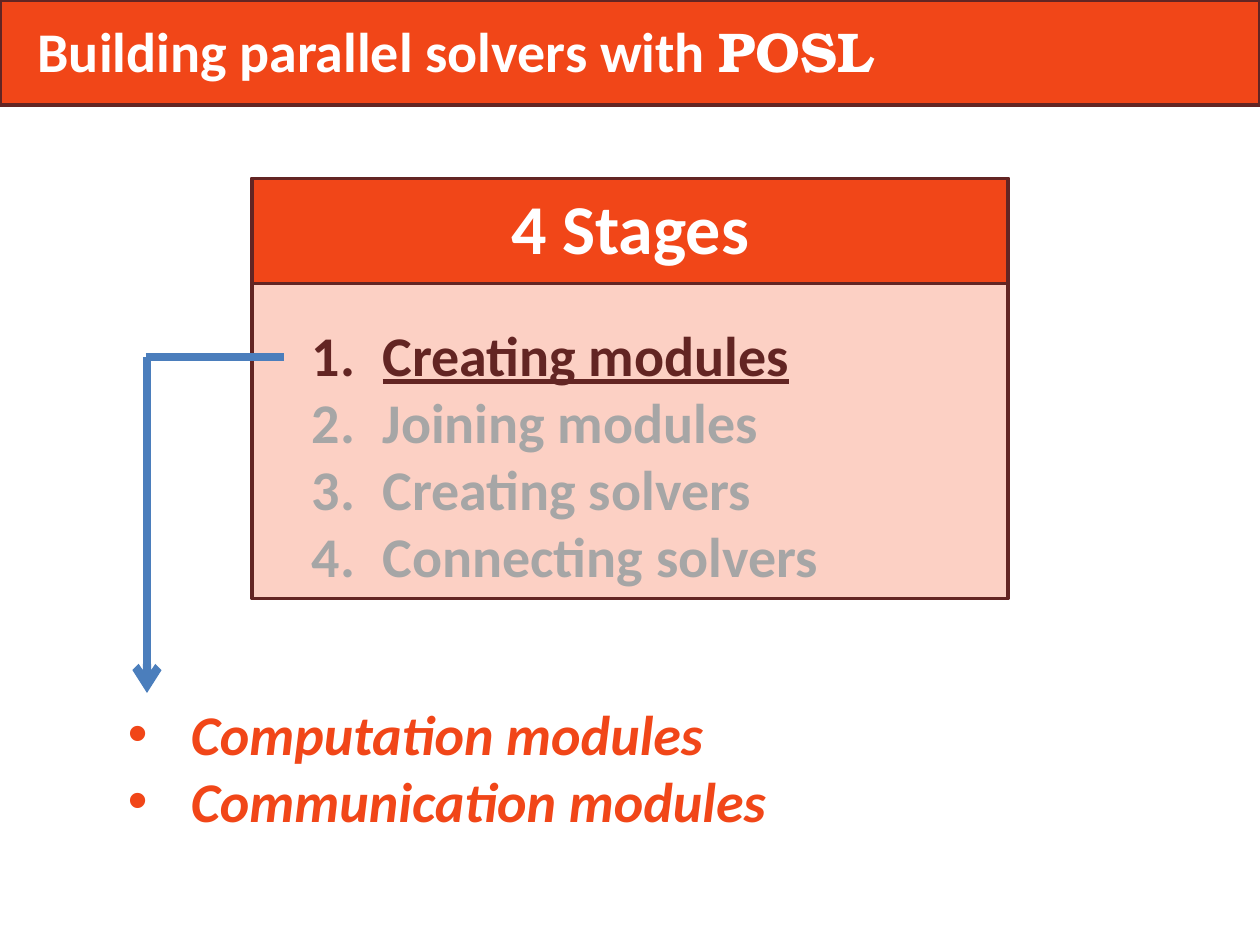
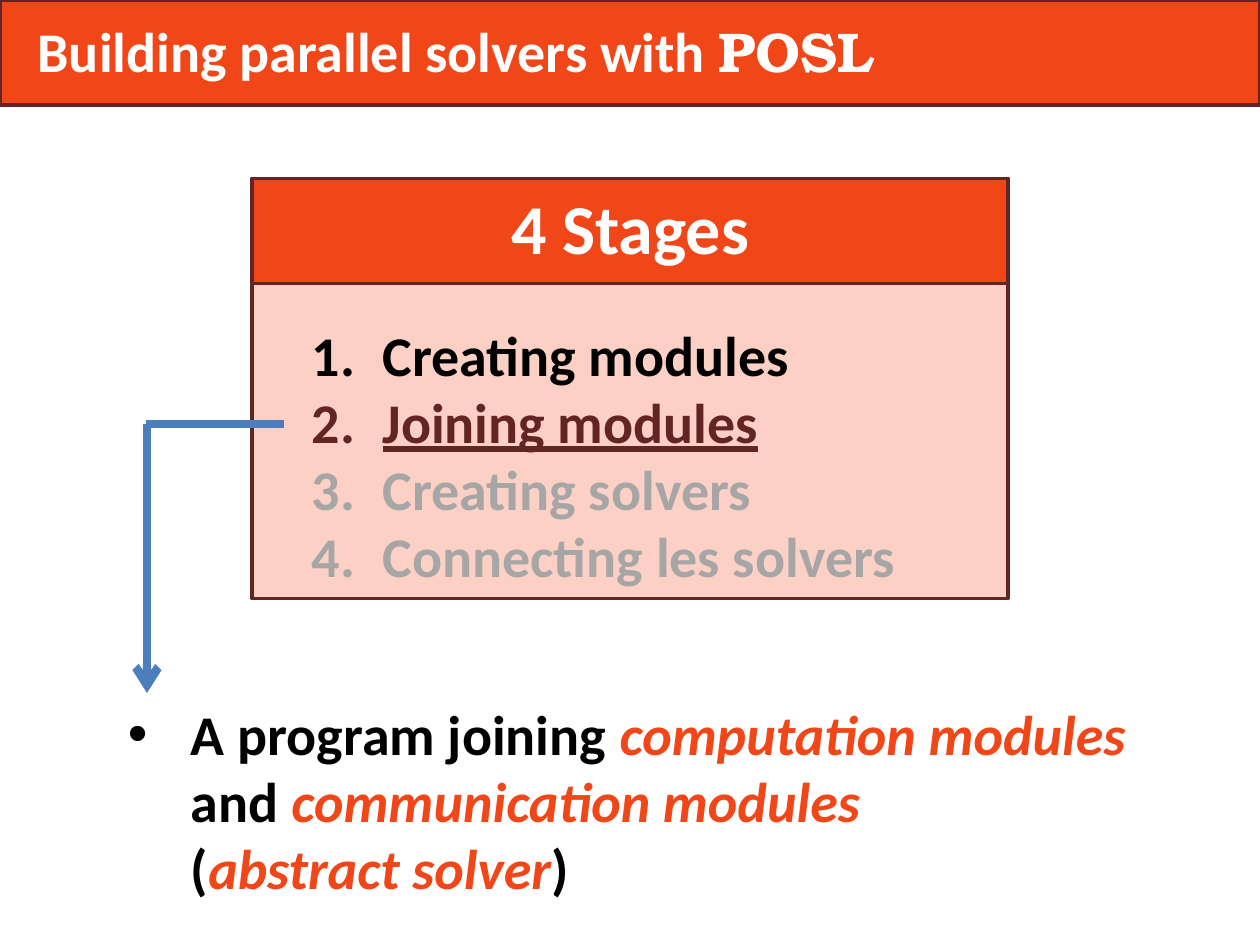
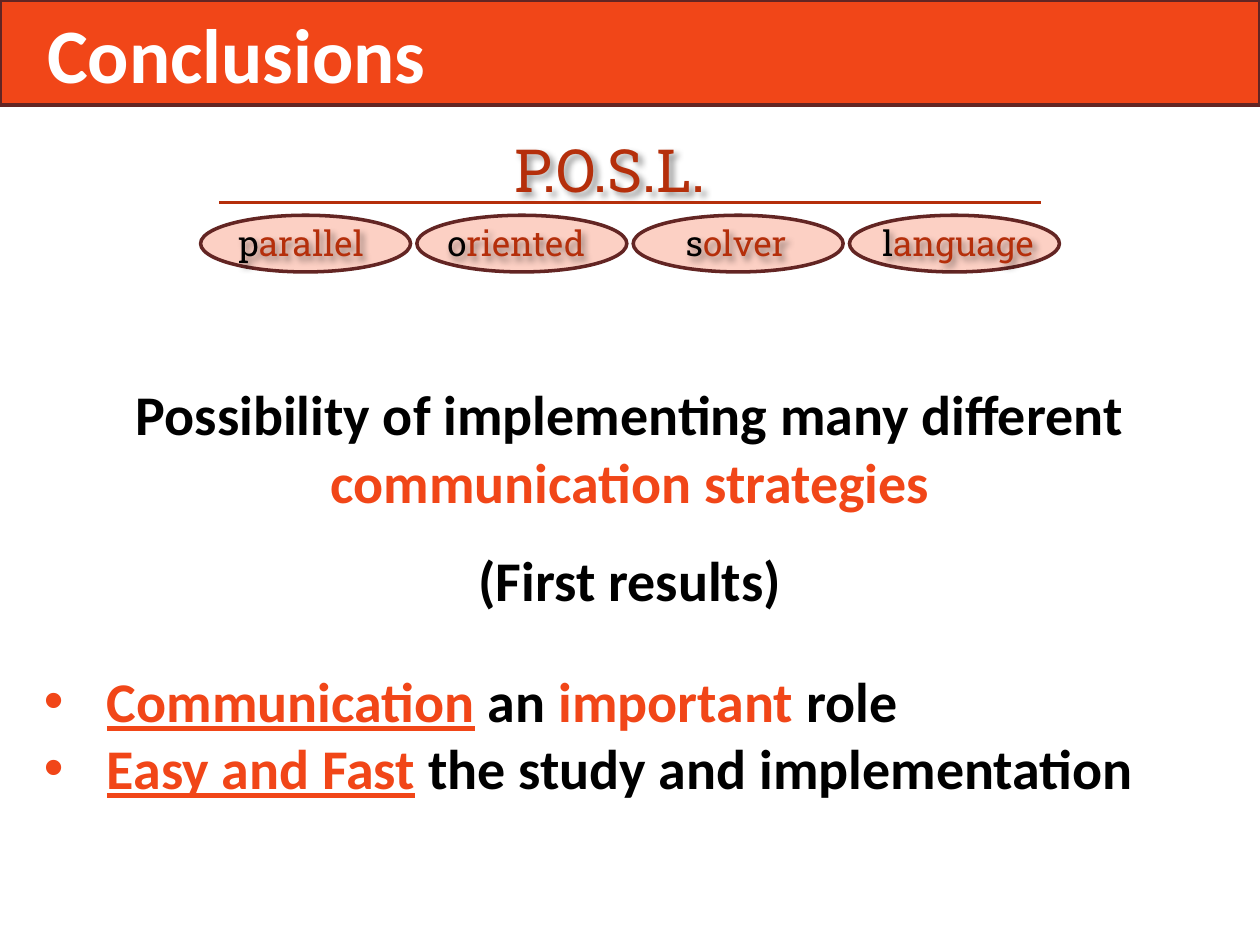
import dataclasses

import lxml.etree
import pptx
import pptx.dml.color
import pptx.enum.shapes
import pptx.enum.text
import pptx.oxml.ns
import pptx.util


@dataclasses.dataclass(frozen=True)
class Theme:
    main: str = "F14618"
    dark: str = "632523"
    pale: str = "FCD0C4"
    rust: str = "B52F0B"
    blue: str = "4B7EBC"
    gray: str = "A6A6A6"
    black: str = "000000"
    white: str = "FFFFFF"
    font: str = "Calibri"
    slab: str = "Roboto Slab"
    serif: str = "TeX Gyre Bonum"
    body: int = 32
    stage: int = 40
    close: int = 44
    name: int = 34
    word: int = 20
    edge: float = 2
    arm: float = 4.75
    rule: float = 1.75


theme = Theme()
rgb = pptx.dml.color.RGBColor.from_string
qn = pptx.oxml.ns.qn
kinds = pptx.enum.shapes.MSO_SHAPE
mid = pptx.enum.text.PP_ALIGN.CENTER

deck = pptx.Presentation()
deck.slide_width = pptx.util.Inches(10)
deck.slide_height = pptx.util.Inches(7.5)
# The grid has 120 columns and 90 rows of square cells.
cell = deck.slide_width / 120


def block(slide, kind, box, fill):
    """Add an outlined shape; box is left, top, width, height in cells."""
    shape = slide.shapes.add_shape(kind, *[round(n * cell) for n in box])
    shape.shadow.inherit = False
    shape.fill.solid()
    shape.fill.fore_color.rgb = rgb(fill)
    shape.line.color.rgb = rgb(theme.dark)
    shape.line.width = pptx.util.Pt(theme.edge)


def write(slide, box, paras, size=theme.body, align=None, mark=None, slab=False):
    """Add text from paragraphs of (words, colour, style letters) runs.

    mark is a bullet tag, its attributes and its indent in cells;
    slab gives unpadded slab type with a soft shadow.
    """
    area = slide.shapes.add_textbox(*[round(n * cell) for n in box])
    frame = area.text_frame
    frame.word_wrap = True
    if slab:
        frame.margin_left = frame.margin_right = 0
        frame.margin_top = frame.margin_bottom = 0
        glow = lxml.etree.SubElement(area.element.spPr, qn("a:effectLst"))
        cast = lxml.etree.SubElement(glow, qn("a:outerShdw"), blurRad="50800",
                                     dist="38100", dir="2700000", algn="tl")
        tint = lxml.etree.SubElement(cast, qn("a:srgbClr"), val=theme.black)
        lxml.etree.SubElement(tint, qn("a:alpha"), val="40000")
    for row, runs in enumerate(paras):
        para = frame.add_paragraph() if row else frame.paragraphs[0]
        para.alignment = align
        if mark:
            tag, attrs, dent = mark
            props = para._p.get_or_add_pPr()
            props.set("marL", str(round(dent * cell)))
            props.set("indent", str(-round(dent * cell)))
            lxml.etree.SubElement(props, qn("a:buFont"),
                                  typeface="Arial" if tag == "a:buChar" else "+mj-lt")
            lxml.etree.SubElement(props, qn(tag), attrs)
        para.font.size = pptx.util.Pt(size)
        for words, tone, style in runs:
            if words == "\n":
                para.add_line_break()
                continue
            run = para.add_run()
            run.text = words
            font = run.font
            font.size = pptx.util.Pt(size)
            font.name = theme.slab if slab else theme.serif if "s" in style else theme.font
            font.color.rgb = rgb(tone)
            font.bold = not slab
            font.italic = "i" in style
            font.underline = "u" in style


dot = ("a:buChar", {"char": "•"}, 6)
count = ("a:buAutoNum", {"type": "arabicPeriod"}, 6.75)
lines = []

# Title bands
build = [("Building parallel solvers with ", theme.white, ""), ("POSL", theme.white, "s")]
close = [("Conclusions", theme.white, "")]
heads = [(build, theme.body, (2.4, 1, 117, 8)),
         (build, theme.body, (2.4, 1, 117, 8)),
         (close, theme.close, (3.3, 0, 90, 10))]
slides = []
for runs, size, box in heads:
    slide = deck.slides.add_slide(deck.slide_layouts[6])
    block(slide, kinds.RECTANGLE, (0, 0, 120, 10), theme.main)
    write(slide, box, [runs], size)
    slides.append(slide)

# Stage slides: the current stage points to its details
steps = ["Creating modules", "Joining modules", "Creating solvers"]
parts = [[("Computation modules", theme.main, "i")],
         [("Communication modules", theme.main, "i")]]
joined = [[("A program joining ", theme.black, ""),
           ("computation modules", theme.main, "i"),
           (" and ", theme.black, ""),
           ("communication modules ", theme.main, "i"),
           ("\n", theme.main, ""),
           ("(", theme.black, ""),
           ("abstract solver", theme.main, "i"),
           (")", theme.black, "")]]
stages = [("Connecting solvers", parts, 105), ("Connecting les solvers", joined, 98)]
for now, (last, notes, wide) in enumerate(stages):
    slide = slides[now]
    block(slide, kinds.RECTANGLE, (24, 17, 72, 40), theme.pale)
    block(slide, kinds.RECTANGLE, (24, 17, 72, 10), theme.main)
    write(slide, (40.5, 17, 39, 9), [[("4 Stages", theme.white, "")]], theme.stage, mid)
    rows = []
    for step, words in enumerate(steps + [last]):
        tone = theme.black if step < now else theme.dark if step == now else theme.gray
        rows.append([(words, tone, "u" if step == now else "")])
    write(slide, (28.5, 29.9, 63, 27), rows, mark=count)
    write(slide, (11, 66, wide, 20), notes, mark=dot)
    level = 34 + 6.4 * now
    lines.append((slide, (14, level, 14, 66), theme.blue, theme.arm, True))
    lines.append((slide, (13.9, level, 27, level), theme.blue, theme.arm, False))

# Conclusions
slide = slides[2]
write(slide, (3, 62.9, 114, 14), [
    [("Communication", theme.main, "u"), (" ", theme.main, ""), ("an ", theme.black, ""),
     ("important ", theme.main, ""), ("role", theme.black, "")],
    [("Easy and Fast", theme.main, "u"), (" ", theme.main, ""),
     ("the study and implementation", theme.black, "")]], mark=dot)
write(slide, (3, 35.6, 114, 14), [
    [("Possibility of implementing many different", theme.black, "")],
    [("communication strategies", theme.main, "")]], align=mid)
write(slide, (3, 51.4, 114, 8), [[("(First results)", theme.black, "")]], align=mid)

# Name and the four words behind it
write(slide, (49, 12.7, 24, 7), [[("P.O.S.L.", theme.rust, "")]], theme.name, slab=True)
names = [("parallel", 22.7), ("oriented", 42.6), ("solver", 65.3), ("language", 84)]
for spot, (word, left) in enumerate(names):
    block(slide, kinds.OVAL, (19.1 + 20.6 * spot, 20.5, 20, 5.4), theme.pale)
    write(slide, (left, 21.1, 16, 4), [[(word[0], theme.black, ""),
          (word[1:], theme.rust, "")]], theme.word, slab=True)
lines.append((slide, (20.9, 19.3, 99.1, 19.3), theme.rust, theme.rule, False))

for slide, ends, tone, width, tip in lines:
    line = slide.shapes.add_connector(pptx.enum.shapes.MSO_CONNECTOR.STRAIGHT,
                                      *[round(n * cell) for n in ends])
    line.line.color.rgb = rgb(tone)
    line.line.width = pptx.util.Pt(width)
    props = line.element.spPr
    if tip:
        lxml.etree.SubElement(props.find(qn("a:ln")), qn("a:tailEnd"), type="arrow")
    lxml.etree.SubElement(props, qn("a:effectLst"))

deck.save("out.pptx")
